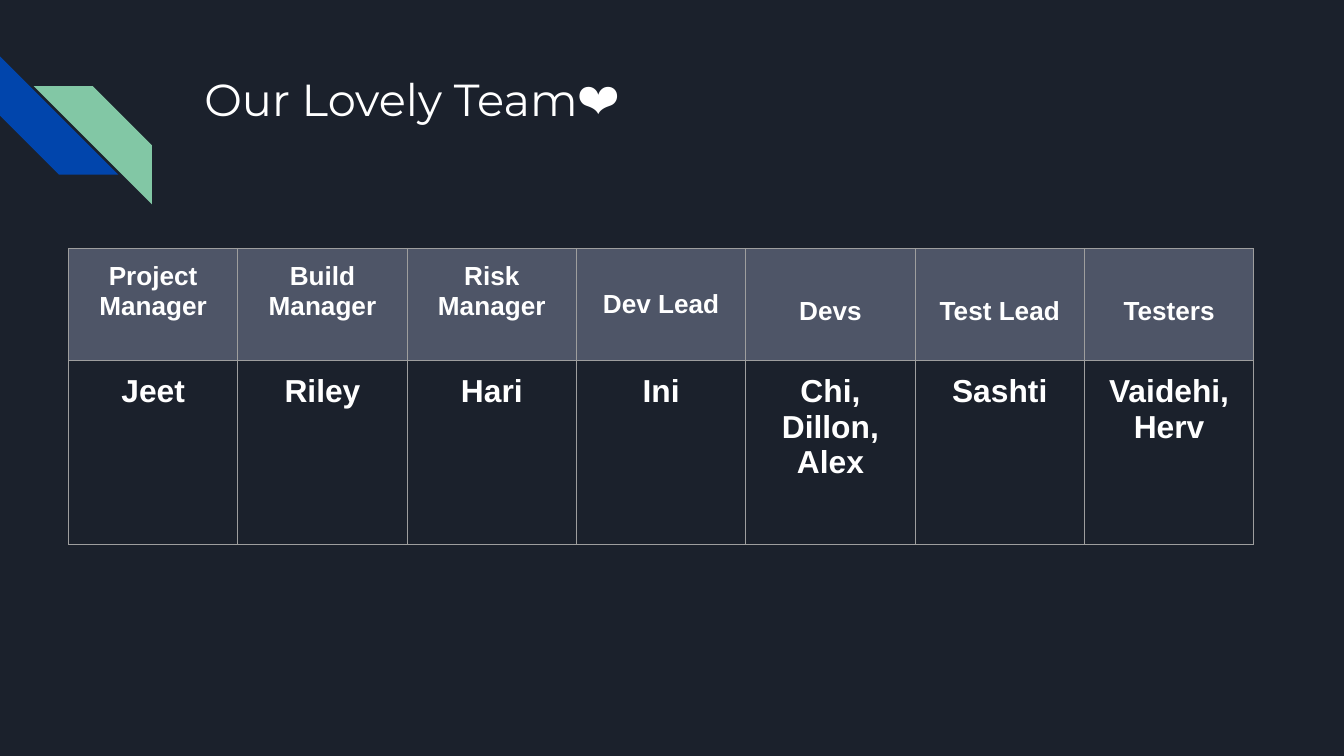
from lxml import etree
from pptx import Presentation
from pptx import util as u
from pptx.dml.color import RGBColor
from pptx.enum import shapes, text
from pptx.oxml.ns import qn

WIDTH, HEIGHT = u.Inches(10), u.Inches(5.625)
COLUMN_WIDTH = u.Inches(1.26)
ROW_HEIGHTS = [u.Inches(0.83), u.Inches(1.37)]
MARGIN = u.Inches(0.1)
WHITE = "FFFFFF"

# Role, members
TEAM = [
    ("Project Manager", "Jeet"),
    ("Build Manager", "Riley"),
    ("Risk Manager", "Hari"),
    ("Dev Lead", "Ini"),
    ("Devs", "Chi, Dillon, Alex"),
    ("Test Lead", "Sashti"),
    ("Testers", "Vaidehi, Herv"),
]
TOP_ROLES = 3  # the first roles sit at the top of their cells
SPACED_ROLES = ("Devs", "Test Lead", "Testers")


def color(value):
    return RGBColor.from_string(value)


def style_font(para, name, size, bold=False):
    para.font.name = name
    para.font.size = u.Pt(size)
    para.font.bold = bold
    para.font.color.rgb = color(WHITE)


def set_margins(box):
    box.margin_left = box.margin_right = MARGIN
    box.margin_top = box.margin_bottom = MARGIN


def add_stripe(page, left, top, rotation, fill):
    side = u.Inches(0.88)
    stripe = page.shapes.add_shape(
        shapes.MSO_SHAPE.DIAGONAL_STRIPE, u.Inches(left), u.Inches(top), side, side)
    stripe.rotation = rotation
    stripe.adjustments[0] = 0.5
    stripe.shadow.inherit = False
    stripe.fill.solid()
    stripe.fill.fore_color.rgb = color(fill)
    stripe.line.fill.background()


def set_title(page, words):
    title = page.shapes.title
    title.left, title.top = u.Inches(1.42), u.Inches(0.43)
    title.width, title.height = u.Inches(7.7), u.Inches(1)
    frame = title.text_frame
    frame.text = words
    frame.word_wrap = True
    frame.auto_size = text.MSO_AUTO_SIZE.NONE
    frame.vertical_anchor = text.MSO_ANCHOR.TOP
    set_margins(frame)
    para = frame.paragraphs[0]
    para.alignment = text.PP_ALIGN.LEFT
    style_font(para, "Montserrat", 24)


def set_borders(cell, line_color, points):
    properties = cell._tc.get_or_add_tcPr()
    for position, side in enumerate(("a:lnL", "a:lnR", "a:lnT", "a:lnB")):
        line = etree.Element(qn(side), w=str(u.Pt(points)))
        fill = etree.SubElement(line, qn("a:solidFill"))
        etree.SubElement(fill, qn("a:srgbClr"), val=line_color)
        properties.insert(position, line)


def fill_cell(cell, words, size, fill=None):
    cell.text = words
    set_margins(cell)
    para = cell.text_frame.paragraphs[0]
    para.alignment = text.PP_ALIGN.CENTER
    style_font(para, "Arial", size, bold=True)
    if fill:
        cell.fill.solid()
        cell.fill.fore_color.rgb = color(fill)
    else:
        cell.fill.background()
    set_borders(cell, "9E9E9E", 0.75)
    return para


def add_team_table(page):
    table = page.shapes.add_table(
        len(ROW_HEIGHTS), len(TEAM), u.Inches(0.51), u.Inches(1.85),
        COLUMN_WIDTH * len(TEAM), sum(ROW_HEIGHTS)).table
    table.first_row = table.horz_banding = False
    for row, height in zip(table.rows, ROW_HEIGHTS):
        row.height = height

    for index, (role, members) in enumerate(TEAM):
        table.columns[index].width = COLUMN_WIDTH
        header = table.cell(0, index)
        para = fill_cell(header, role, 14, "4E5567")
        if index >= TOP_ROLES:
            header.vertical_anchor = text.MSO_ANCHOR.MIDDLE
        if role in SPACED_ROLES:
            para.line_spacing = 1.5
            para.space_before = u.Pt(10)
        elif index >= TOP_ROLES:
            para.space_after = u.Pt(10)
        fill_cell(table.cell(1, index), members, 17)


def main():
    deck = Presentation()
    deck.slide_width, deck.slide_height = WIDTH, HEIGHT
    page = deck.slides.add_slide(deck.slide_layouts.get_by_name("Title Only"))
    page.background.fill.solid()
    page.background.fill.fore_color.rgb = color("1B212C")

    # Corner decoration
    add_stripe(page, 0, 0.42, 270, "0145AC")
    add_stripe(page, 0.25, 0.64, 90, "82C7A5")

    # Title and team
    set_title(page, "Our Lovely Team❤️")
    add_team_table(page)
    deck.save("out.pptx")


if __name__ == "__main__":
    main()
